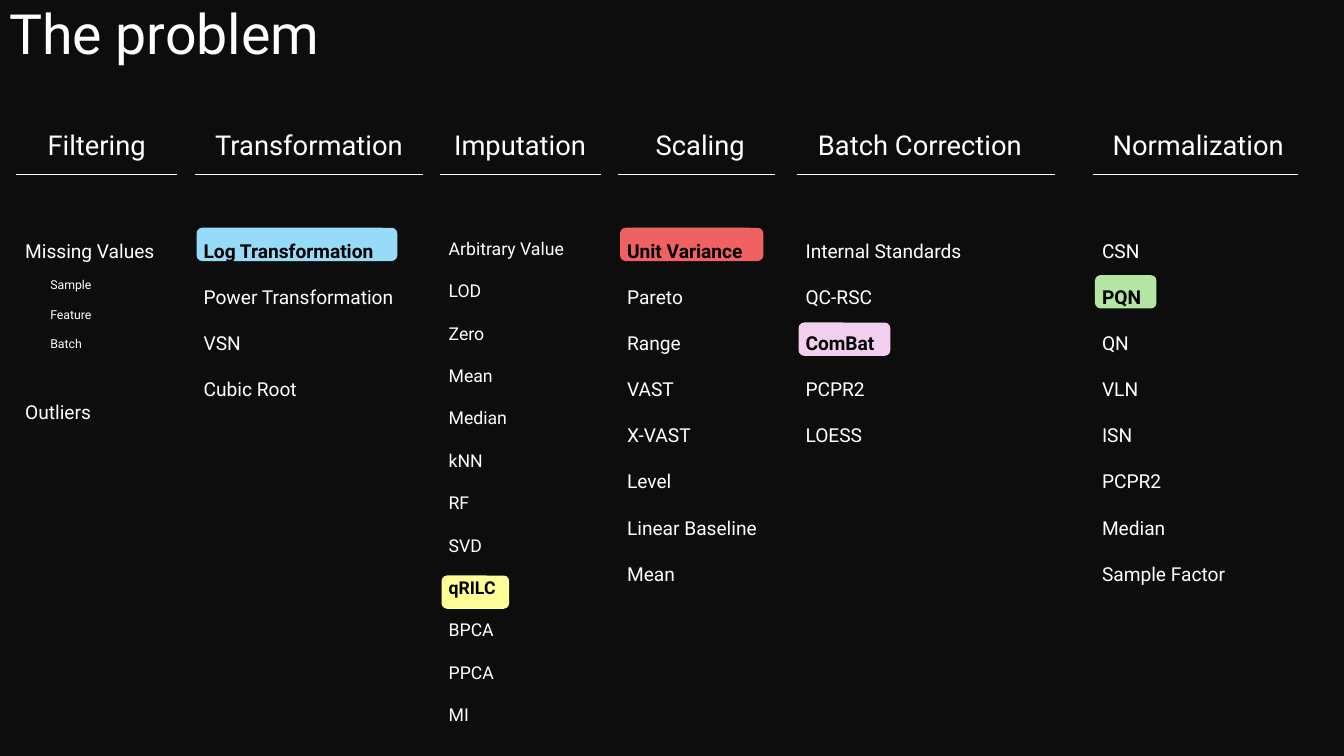
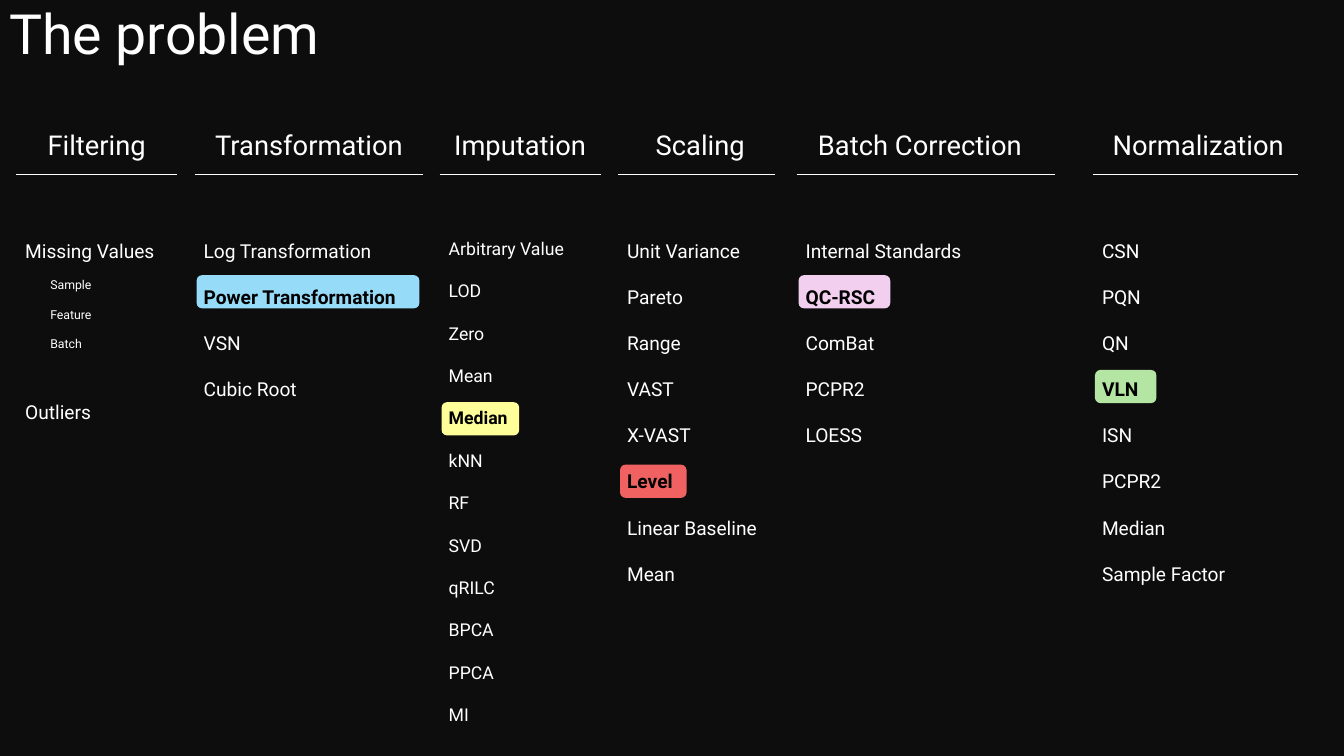
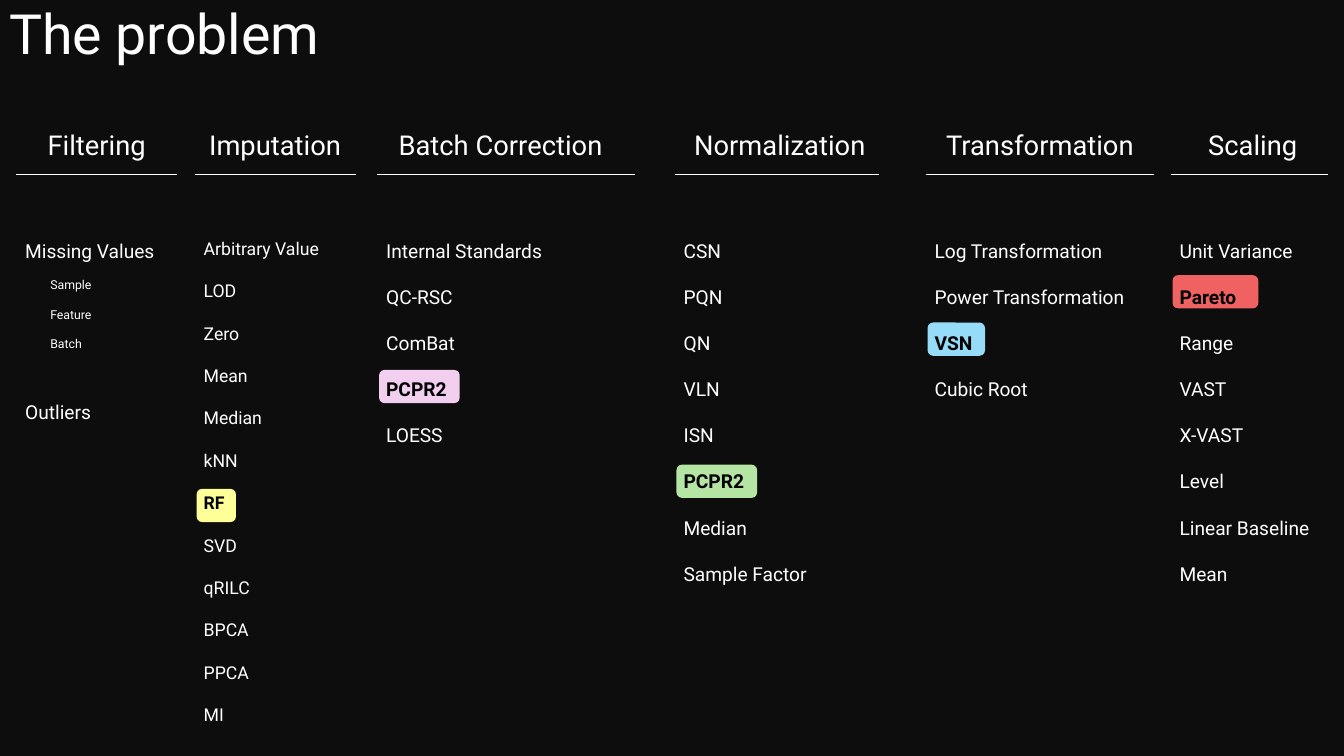
from pptx import Presentation
from pptx.dml.color import RGBColor
from pptx.enum import shapes, text
from pptx.util import Inches, Pt
from lxml import etree

FONT = "Roboto"
DARK, WHITE, BLACK = "0D0D0D", "FFFFFF", "000000"
HEAD_TOP, RULE_TOP, LIST_TOP = 1.18, 1.73, 2.1
HEAD_HEIGHT = RULE_TOP - HEAD_TOP

SCALING = ["Unit Variance", "Pareto", "Range", "VAST", "X-VAST", "Level",
           "Linear Baseline", "Mean"]
IMPUTATION = ["Arbitrary Value", "LOD", "Zero", "Mean", "Median", "kNN", "RF",
              "SVD", "qRILC", "BPCA", "PPCA", "MI"]
NORMALIZATION = ["CSN", "PQN", "QN", "VLN", "ISN", "PCPR2", "Median",
                 "Sample Factor"]
BATCH = ["Internal Standards", "QC-RSC", "ComBat", "PCPR2", "LOESS"]
TRANSFORMATION = ["Log Transformation", "Power Transformation", "VSN",
                  "Cubic Root"]

# Each step: list, width, list height, pill colour, then what differs:
# heading shift and width, text size, first pill top and pill pitch
STEPS = {
    "Imputation": dict(methods=IMPUTATION, width=1.6, height=5.4, fill="FFFF99",
                       size=12.6, pill_top=2.27, pitch=0.43),
    "Batch Correction": dict(methods=BATCH, width=2.56, height=3.72,
                             fill="F2CFEE", head=(-0.05, 2.55)),
    "Normalization": dict(methods=NORMALIZATION, width=2.03, height=4.22,
                          fill="B4E5A2", head=(-0.23, 2.55)),
    "Scaling": dict(methods=SCALING, width=1.56, height=4.22, fill="F06262",
                    head=(0.07, 1.49)),
    "Transformation": dict(methods=TRANSFORMATION, width=2.27, height=3.72,
                           fill="96DCF8"),
}

# Step, left edge, chosen method and pill width, for each slide
PIPELINES = [
    [("Imputation", 4.36, "qRILC", 0.67),
     ("Batch Correction", 7.9, "ComBat", 0.91),
     ("Normalization", 10.84, "PQN", 0.61),
     ("Scaling", 6.13, "Unit Variance", 1.42),
     ("Transformation", 1.93, "Log Transformation", 1.99)],
    [("Imputation", 4.36, "Median", 0.77),
     ("Batch Correction", 7.9, "QC-RSC", 0.91),
     ("Normalization", 10.84, "VLN", 0.61),
     ("Scaling", 6.13, "Level", 0.66),
     ("Transformation", 1.93, "Power Transformation", 2.21)],
    [("Imputation", 1.93, "RF", 0.39),
     ("Batch Correction", 3.74, "PCPR2", 0.8),
     ("Normalization", 6.69, "PCPR2", 0.8),
     ("Scaling", 11.61, "Pareto", 0.85),
     ("Transformation", 9.18, "VSN", 0.57)],
]


def color(value):
    return RGBColor.from_string(value)


def add_frame(parent, left, top, width, height, anchor=text.MSO_ANCHOR.TOP):
    box = parent.shapes.add_textbox(Inches(left), Inches(top),
                                    Inches(width), Inches(height))
    frame = box.text_frame
    frame.word_wrap = True
    frame.vertical_anchor = anchor
    frame.margin_left = frame.margin_right = Inches(0.09)
    frame.margin_top = frame.margin_bottom = Inches(0.05)
    return frame


def write(frame, words, size=13.7, ink=WHITE, bold=False, align=None,
          spacing=2.0, level=0, before=0):
    para = frame.paragraphs[0]
    if para.runs:
        para = frame.add_paragraph()
    para.alignment = align
    para.line_spacing = spacing
    para.space_before = Pt(before)
    if level:
        para.level = level
        indent = para._p.get_or_add_pPr()
        indent.set("marL", str(Inches(0.25 * level)))
        indent.set("indent", "0")
    span = para.add_run()
    span.text = words
    span.font.name = FONT
    span.font.size = Pt(size)
    span.font.bold = bold
    span.font.color.rgb = color(ink)


def add_heading(group, title, left, width, head):
    shift, head_width = head or (0, width)
    frame = add_frame(group, left + shift, HEAD_TOP, head_width, HEAD_HEIGHT,
                      text.MSO_ANCHOR.MIDDLE)
    write(frame, title, size=19.5, align=text.PP_ALIGN.CENTER, spacing=0.9)
    rule = group.shapes.add_connector(
        shapes.MSO_CONNECTOR.STRAIGHT, Inches(left), Inches(RULE_TOP),
        Inches(left + width), Inches(RULE_TOP))
    rule.line.color.rgb = color(WHITE)
    rule.line.width = Pt(0.5)
    etree.SubElement(
        rule._element.spPr,
        "{http://schemas.openxmlformats.org/drawingml/2006/main}effectLst")


def add_pill(page, left, top, width, fill):
    pill = page.shapes.add_shape(
        shapes.MSO_SHAPE.ROUNDED_RECTANGLE, Inches(left), Inches(top),
        Inches(width), Inches(0.33))
    pill.shadow.inherit = False
    pill.fill.solid()
    pill.fill.fore_color.rgb = color(fill)
    pill.line.fill.background()


def add_step(page, title, left, chosen, pill_width, methods, width, height,
             fill, head=None, size=13.7, pill_top=2.26, pitch=0.47):
    row = methods.index(chosen)
    add_pill(page, left + 0.02, pill_top + row * pitch, pill_width, fill)
    group = page.shapes.add_group_shape()
    add_heading(group, title, left, width, head)
    frame = add_frame(group, left, LIST_TOP, width, height)
    for method in methods:
        picked = method == chosen
        write(frame, method, size=size, bold=picked,
              ink=BLACK if picked else WHITE)


def add_filtering(page, left=0.16, width=1.6):
    group = page.shapes.add_group_shape()
    add_heading(group, "Filtering", left, width, None)
    frame = add_frame(group, left, LIST_TOP, width, 3.09)
    write(frame, "Missing Values")
    for name in ("Sample", "Feature", "Batch"):
        write(frame, name, size=8.8, level=1)
    write(frame, "Outliers", before=18.7)


def add_pipeline_page(deck, pipeline):
    page = deck.slides.add_slide(deck.slide_layouts[6])
    # Title
    frame = add_frame(page, 0, 0, 4.82, 0.72, text.MSO_ANCHOR.MIDDLE)
    write(frame, "The problem", size=39.6, spacing=0.9)
    # Columns
    add_filtering(page)
    for title, left, chosen, pill_width in pipeline:
        add_step(page, title, left, chosen, pill_width, **STEPS[title])


def main():
    deck = Presentation()
    deck.slide_width, deck.slide_height = Inches(13.33), Inches(7.5)
    backdrop = deck.slide_master.background.fill
    backdrop.solid()
    backdrop.fore_color.rgb = color(DARK)
    for pipeline in PIPELINES:
        add_pipeline_page(deck, pipeline)
    deck.save("out.pptx")


if __name__ == "__main__":
    main()
